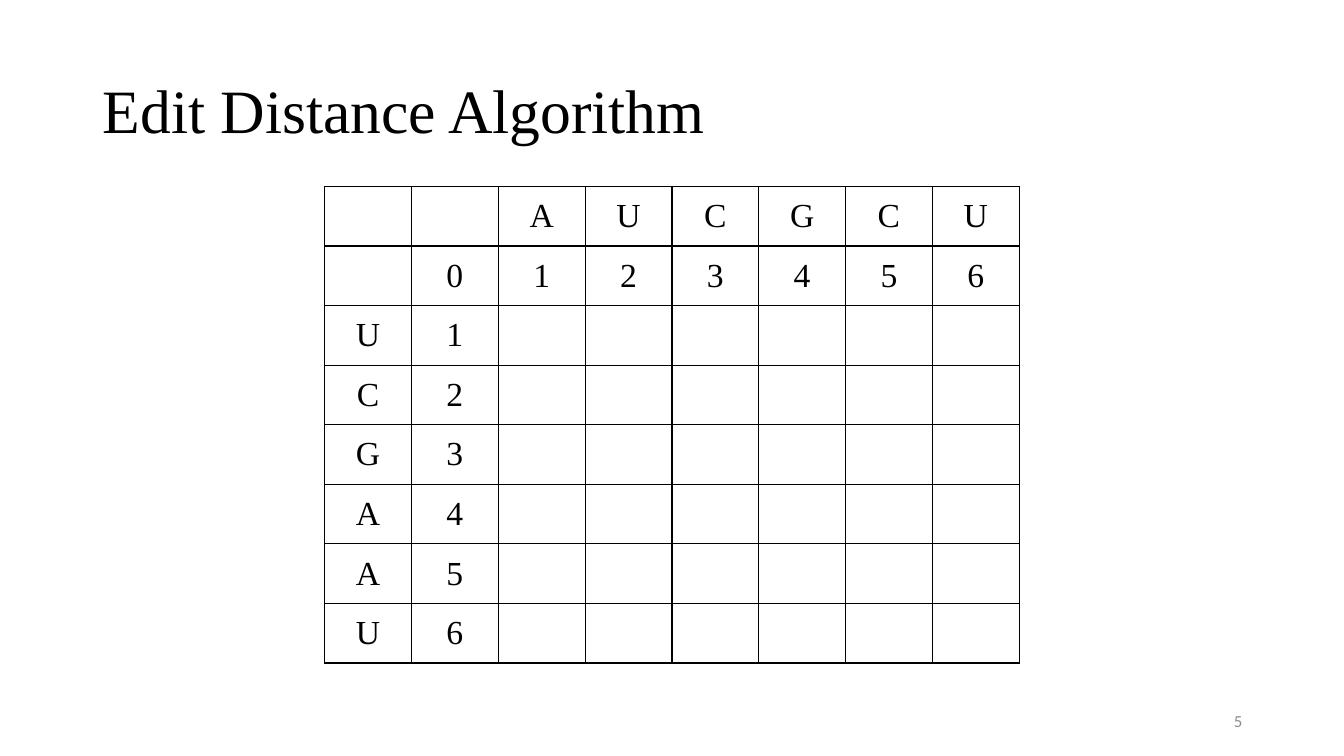
from dataclasses import dataclass

from lxml import etree
from pptx import Presentation
from pptx.dml.color import RGBColor
from pptx.enum.text import MSO_ANCHOR, PP_ALIGN
from pptx.oxml.ns import qn
from pptx.util import Inches, Pt

LEFT, CENTER, RIGHT = PP_ALIGN.LEFT, PP_ALIGN.CENTER, PP_ALIGN.RIGHT
MIDDLE = MSO_ANCHOR.MIDDLE
TITLE_ONLY = 5


@dataclass(frozen=True)
class Theme:
    serif: str = "Times New Roman"
    sans: str = "Calibri"
    ink: str = "000000"
    muted: str = "8C8C8C"
    paper: str = "FFFFFF"
    title_size: int = 44
    cell_size: int = 24
    number_size: int = 12
    border: int = 1


class SlideBuilder:
    def __init__(self, prs, theme):
        self.theme = theme
        self.s = prs.slides.add_slide(prs.slide_layouts[TITLE_ONLY])

    def add_text(self, tf, text, size, font, color, align):
        p = tf.paragraphs[0]
        p.alignment = align
        r = p.add_run()
        r.text = text
        for name, value in {"name": font, "size": Pt(size), "bold": False}.items():
            setattr(r.font, name, value)
        r.font.color.rgb = RGBColor.from_string(color)
        return p

    def title(self, text, left, top, width, height):
        sp = self.s.shapes.title
        box = {"left": left, "top": top, "width": width, "height": height}
        for name, value in box.items():
            setattr(sp, name, Inches(value))
        tf = sp.text_frame
        tf.vertical_anchor = MIDDLE
        t = self.theme
        p = self.add_text(tf, text, t.title_size, t.serif, t.ink, LEFT)
        p.line_spacing = 0.9

    def page_number(self, text, left, top, width, height):
        sp = self.s.shapes.add_textbox(*map(Inches, (left, top, width, height)))
        tf = sp.text_frame
        tf.word_wrap = True
        tf.vertical_anchor = MIDDLE
        t = self.theme
        self.add_text(tf, text, t.number_size, t.sans, t.muted, RIGHT)

    def outline(self, cell):
        tc_pr = cell._tc.get_or_add_tcPr()
        for side in ("a:lnL", "a:lnR", "a:lnT", "a:lnB"):
            ln = etree.SubElement(tc_pr, qn(side), w=str(Pt(self.theme.border)))
            fill = etree.SubElement(ln, qn("a:solidFill"))
            etree.SubElement(fill, qn("a:srgbClr"), val=self.theme.ink)

    def table(self, rows, left, top, width, height):
        box = map(Inches, (left, top, width, height))
        table = self.s.shapes.add_table(len(rows), len(rows[0]), *box).table
        t = self.theme
        for i, row in enumerate(rows):
            for j, text in enumerate(row):
                cell = table.cell(i, j)
                self.outline(cell)
                cell.fill.solid()
                cell.fill.fore_color.rgb = RGBColor.from_string(t.paper)
                cell.vertical_anchor = MIDDLE
                if text:
                    self.add_text(cell.text_frame, text, t.cell_size, t.serif, t.ink, CENTER)


def distance_grid(source, target):
    header = ["", "", *target]
    base = ["", *map(str, range(len(target) + 1))]
    blanks = [""] * len(target)
    body = [[letter, str(i), *blanks] for i, letter in enumerate(source, 1)]
    return [header, base, *body]


def main():
    prs = Presentation()
    prs.slide_width, prs.slide_height = Inches(13.33), Inches(7.5)
    slide = SlideBuilder(prs, Theme())
    slide.title("Edit Distance Algorithm", 0.92, 0.4, 11.5, 1.45)
    slide.page_number("5", 9.42, 6.95, 3, 0.4)
    slide.table(distance_grid("UCGAAU", "AUCGCU"), 3.22, 1.85, 6.89, 4.73)
    prs.save("out.pptx")


if __name__ == "__main__":
    main()
